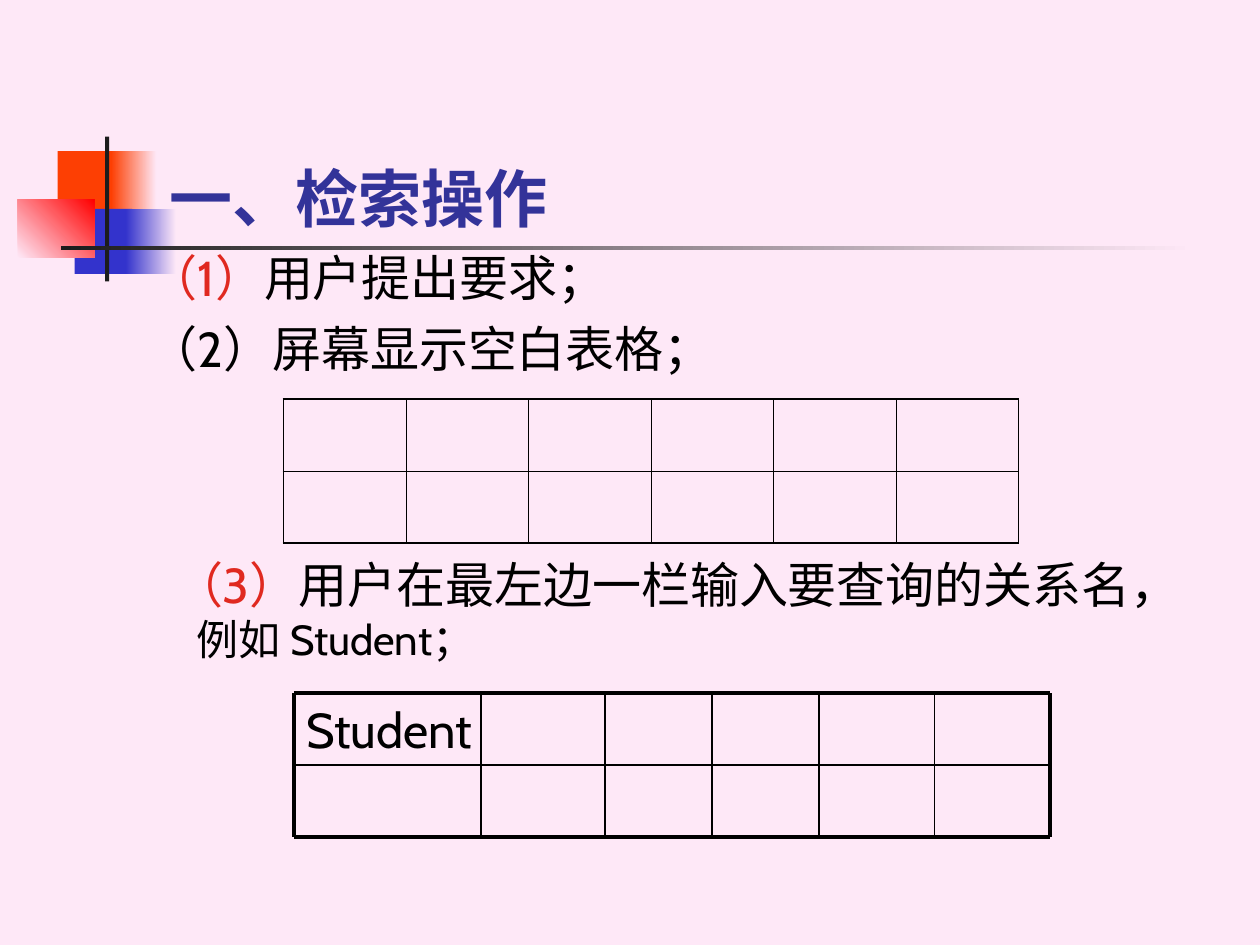
"""Build the slide on retrieval operations with two form tables."""
from lxml.etree import SubElement
from pptx import Presentation
from pptx.dml.color import RGBColor
from pptx.enum.shapes import MSO_CONNECTOR, MSO_SHAPE
from pptx.enum.text import MSO_ANCHOR, PP_ALIGN
from pptx.oxml import parse_xml
from pptx.oxml.ns import nsdecls, qn
from pptx.util import Inches, Pt

BACKGROUND, BLACK, RED = "FEE8F7", "000000", "E02920"
ORANGE, BLUE, DARK = "FD3F03", "3333CC", "1C1C1C"
color = RGBColor.from_string

presentation = Presentation()
presentation.slide_width, presentation.slide_height = Inches(10), Inches(7.5)
unit = presentation.slide_width / 120
slide = presentation.slides.add_slide(presentation.slide_layouts[6])
slide.background.fill.solid()
slide.background.fill.fore_color.rgb = color(BACKGROUND)


def grid(*cells):
    return [round(cell * unit) for cell in cells]


def add_text(shapes, box, paragraphs, anchor=MSO_ANCHOR.TOP):
    frame = shapes.add_textbox(*grid(*box)).text_frame
    frame.word_wrap, frame.vertical_anchor = True, anchor
    for index, (formats, indents, runs) in enumerate(paragraphs):
        paragraph = frame.add_paragraph() if index else frame.paragraphs[0]
        for name, value in formats.items():
            setattr(paragraph, name, value)
        for name, inches in indents.items():
            paragraph._p.get_or_add_pPr().set(name, str(Inches(inches)))
        for text, size, run_color, bold in runs:
            run = paragraph.add_run()
            run.text = text
            font_formats = {"name": "Cabin", "size": Pt(size), "bold": bold}
            for name, value in font_formats.items():
                setattr(run.font, name, value)
            run.font.color.rgb = color(run_color)


decorations = [
    ((5.5, 14.4, 5.8, 6.2), [ORANGE], 0),
    ((10.6, 14.4, 4.3, 6.2), [ORANGE, BACKGROUND], 0),
    ((7.1, 19.9, 5.5, 6.2), [BLUE], 0),
    ((12, 19.9, 4.8, 6.2), [BLUE, BACKGROUND], 0),
    ((1.7, 19, 7.3, 5.5), [BACKGROUND, "FF0000"], 45),
    ((10, 13, 0.4, 13.8), [DARK], 0),
    ((5.8, 23.4, 108, 0.4), [DARK, BACKGROUND], 0),
]
for box, colors, angle in decorations:
    shape = slide.shapes.add_shape(MSO_SHAPE.RECTANGLE, *grid(*box))
    shape.shadow.inherit = False
    shape.line.fill.background()
    if len(colors) == 1:
        shape.fill.solid()
        shape.fill.fore_color.rgb = color(colors[0])
    else:
        shape.fill.gradient()
        shape.fill.gradient_angle = angle
        for stop, stop_color in zip(shape.fill.gradient_stops, colors):
            stop.color.rgb = color(stop_color)

add_text(slide.shapes, (15, 8, 102.2, 15),
         [({}, {}, [("一、检索操作", 36, "333399", True)])], MSO_ANCHOR.BOTTOM)

hanging = {"marL": 0.38, "indent": -0.38}
justified = {"alignment": PP_ALIGN.JUSTIFY}
add_text(slide.shapes, (13, 23, 102, 54), [
    (justified, hanging,
     [("（1）", 28, RED, False), ("用户提出要求；", 28, BLACK, False)]),
    (justified | {"space_before": Pt(7)}, hanging,
     [("（2）屏幕显示空白表格；", 28, BLACK, False)]),
    ({"space_before": Pt(101)}, {"marL": 0.38, "indent": -0.18},
     [("（3）", 28, RED, False),
      ("用户在最左边一栏输入要查询的关系名，", 28, BLACK, False),
      ("例如 Student；", 24, BLACK, False)]),
])

row_count, column_count = 2, 6
table = slide.shapes.add_table(row_count, column_count, *grid(27, 38, 70, 13.7)).table
table.first_row = table.horz_banding = False
for row in range(row_count):
    for column in range(column_count):
        cell = table.cell(row, column)
        cell.fill.background()
        outer_edges = {
            "lnL": column == 0, "lnR": column == column_count - 1,
            "lnT": row == 0, "lnB": row == row_count - 1,
        }
        for position, (edge, is_outer) in enumerate(outer_edges.items()):
            width = Pt(1.08 if is_outer else 0.45)
            border = parse_xml(
                f'<a:{edge} {nsdecls("a")} w="{width}"><a:solidFill>'
                f'<a:srgbClr val="{BLACK}"/></a:solidFill></a:{edge}>')
            cell._tc.get_or_add_tcPr().insert(position, border)

form = slide.shapes.add_group_shape()
add_text(form.shapes, (28, 66, 19, 6.8), [({}, {}, [("Student", 28, BLACK, False)])])
row_edges = [66, 72.85, 79.7]
column_edges = [28, 45.8, 57.6, 67.8, 78, 89, 100]
left, right, top, bottom = column_edges[0], column_edges[-1], row_edges[0], row_edges[-1]
rules = [(left, y, right, y, y in (top, bottom)) for y in row_edges]
rules += [(x, top, x, bottom, x in (left, right)) for x in column_edges]
for *ends, is_outer in rules:
    connector = form.shapes.add_connector(MSO_CONNECTOR.STRAIGHT, *grid(*ends))
    connector.line.color.rgb = color(BLACK)
    connector.line.width = Pt(2.25 if is_outer else 1)
    SubElement(connector._element.spPr, qn("a:effectLst"))

presentation.save("out.pptx")
